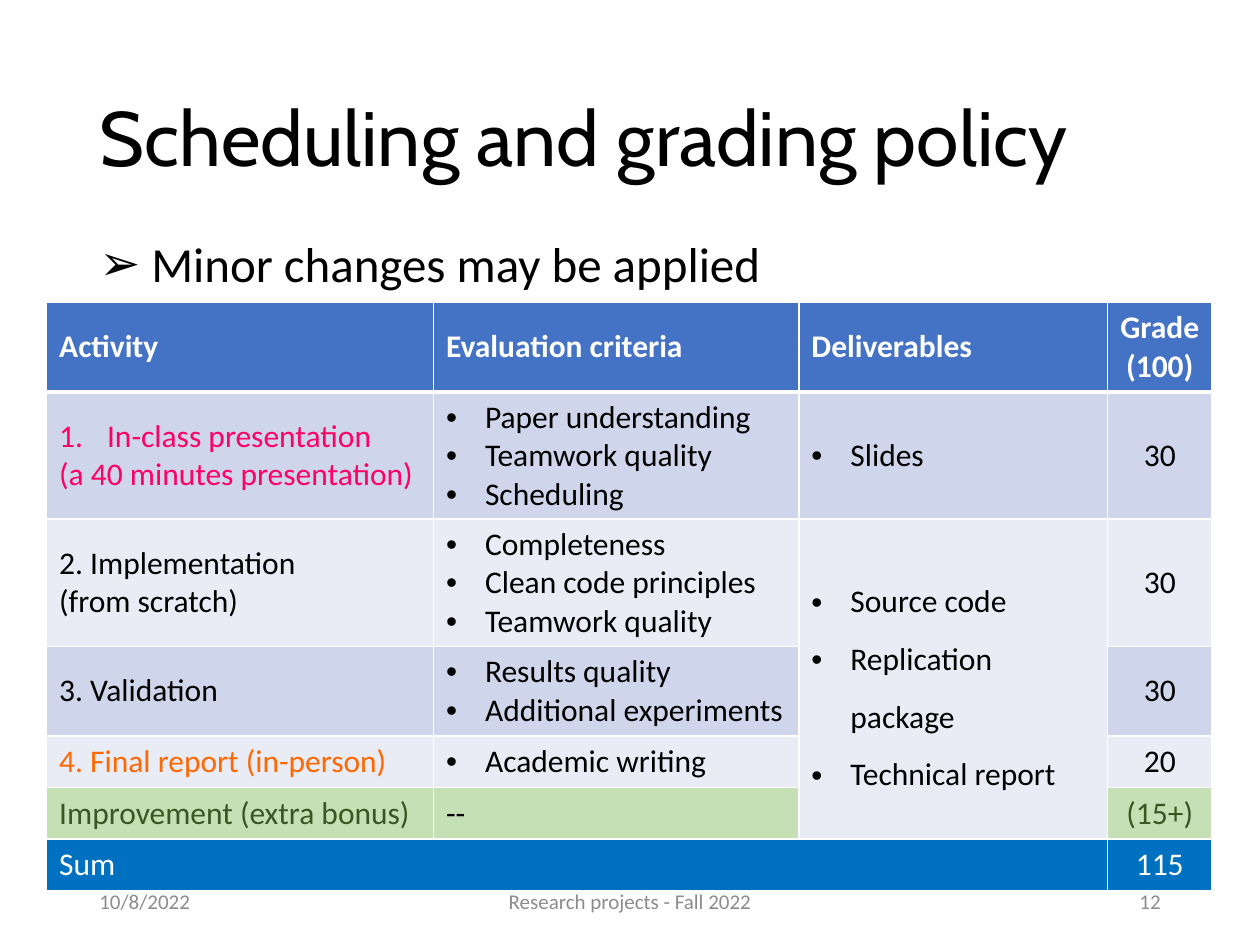
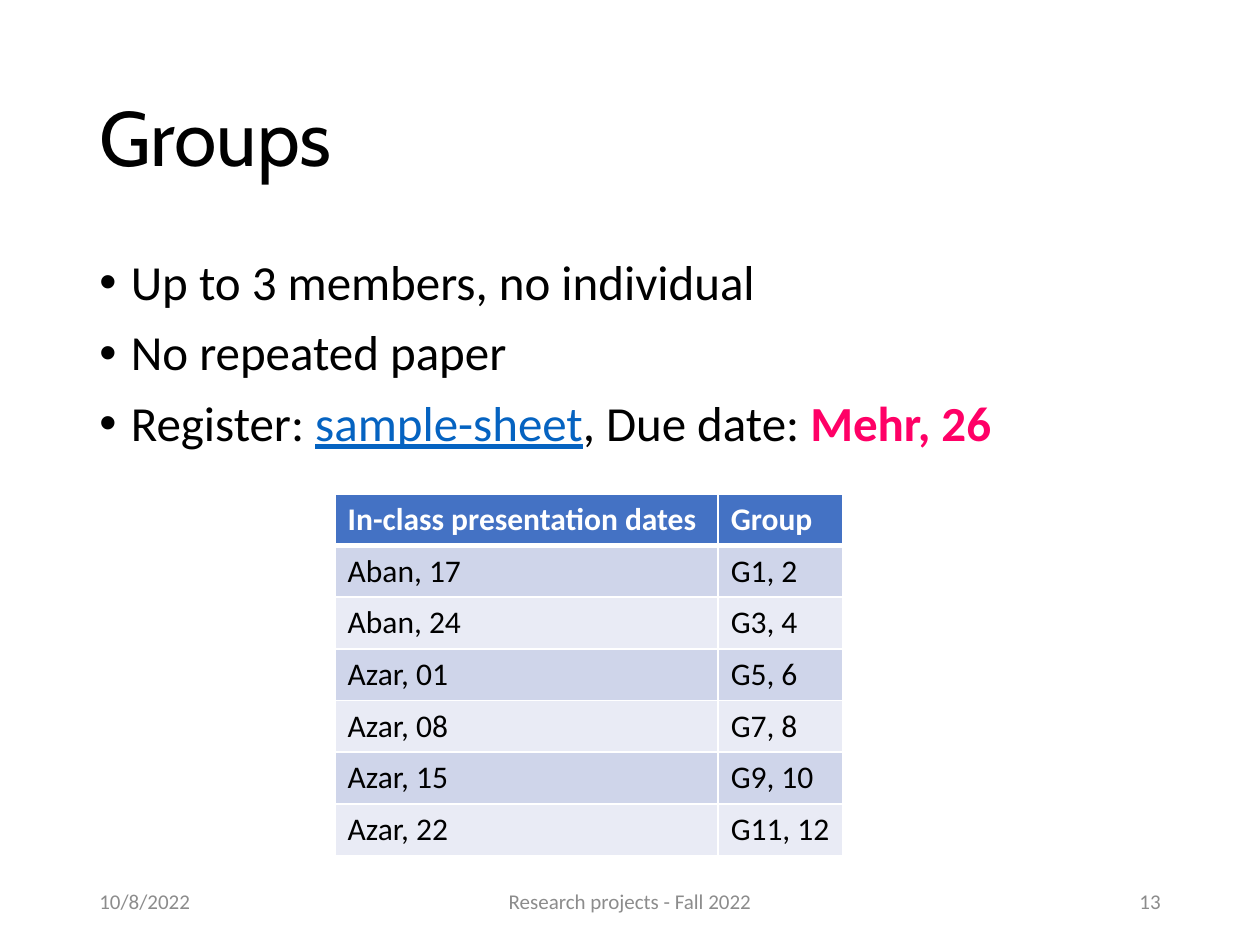
"""Builds the grading policy and groups slides of a research projects course."""
from dataclasses import dataclass, replace
from typing import Optional

from lxml import etree
from pptx import Presentation
from pptx import util as u
from pptx.dml.color import RGBColor
from pptx.enum import text
from pptx.oxml.ns import qn


@dataclass(frozen=True)
class Theme:
    title_font: str = "Cabin"
    body_font: str = "Calibri"
    title_size: int = 44
    body_size: int = 28
    table_size: int = 18
    footer_size: int = 12
    black: str = "000000"
    white: str = "FFFFFF"
    grey: str = "8C8C8C"
    pink: str = "FF0066"
    orange: str = "FF6801"
    link: str = "0563C1"
    header: str = "4472C4"
    bands: tuple[str, str] = ("CFD5EA", "E9EBF5")
    bonus: str = "C5E0B4"
    bonus_text: str = "385723"
    total: str = "0070C0"
    thin: float = 1
    thick: float = 3


THEME = Theme()
ALIGN = text.PP_ALIGN
ANCHOR = text.MSO_ANCHOR
DOT = "•"
NUMBER = "1."
MARGIN, BODY_WIDTH = 0.69, 8.62
FOOTER_TOP, FOOTER_HEIGHT = 6.95, 0.4
LINE_ROW = 0.41


@dataclass(frozen=True)
class Area:
    left: float
    top: float
    width: float
    height: float


@dataclass(frozen=True)
class Span:
    words: str
    color: str = THEME.black
    bold: bool = False
    underline: bool = False


@dataclass(frozen=True)
class Para:
    spans: tuple[Span, ...]
    bullet: str = ""
    indent: float = 0
    align: ALIGN = ALIGN.LEFT
    line: float = 1
    before: float = 0


@dataclass(frozen=True)
class Cell:
    paras: tuple[Para, ...]
    fill: str
    rows: int = 1
    cols: int = 1


Row = list[Optional[Cell]]


def line_of(words: str, color: str = THEME.black, bold: bool = False, **layout) -> Para:
    return Para((Span(words, color, bold),), **layout)


def set_bullet(para, style: Para) -> None:
    props = para._p.get_or_add_pPr()
    indent = u.Inches(style.indent)
    props.set("marL", str(indent))
    props.set("indent", str(-indent))
    if style.bullet == NUMBER:
        etree.SubElement(props, qn("a:buAutoNum"), type="arabicPeriod")
    else:
        etree.SubElement(props, qn("a:buFont"), typeface="Arial")
        etree.SubElement(props, qn("a:buChar"), char=style.bullet)


def write(frame, paras: tuple[Para, ...], size: int, font: str = THEME.body_font) -> None:
    for index, style in enumerate(paras):
        para = frame.add_paragraph() if index else frame.paragraphs[0]
        para.alignment = style.align
        para.line_spacing = style.line
        para.space_before = u.Pt(style.before)
        if style.bullet:
            set_bullet(para, style)
        for part in style.spans:
            span = para.add_run()
            span.text = part.words
            span.font.name = font
            span.font.size = u.Pt(size)
            span.font.bold = part.bold
            span.font.underline = part.underline
            span.font.color.rgb = RGBColor.from_string(part.color)


def add_text(slide, area: Area, paras: tuple[Para, ...], size: int,
             font: str = THEME.body_font, anchor: ANCHOR = ANCHOR.MIDDLE) -> None:
    box = slide.shapes.add_textbox(u.Inches(area.left), u.Inches(area.top),
                                   u.Inches(area.width), u.Inches(area.height))
    box.text_frame.word_wrap = True
    box.text_frame.vertical_anchor = anchor
    write(box.text_frame, paras, size, font)


def add_border(cell, side: str, width: float) -> None:
    props = cell._tc.get_or_add_tcPr()
    border = etree.SubElement(props, qn(f"a:ln{side}"), w=str(u.Pt(width)))
    fill = etree.SubElement(border, qn("a:solidFill"))
    etree.SubElement(fill, qn("a:srgbClr"), val=THEME.white)


def add_table(slide, left: float, top: float, widths: list[float],
              heights: list[float], rows: list[Row]) -> None:
    table = slide.shapes.add_table(len(rows), len(widths), u.Inches(left), u.Inches(top),
                                   u.Inches(sum(widths)), u.Inches(sum(heights))).table
    table.horz_banding = False
    for column, width in zip(table.columns, widths):
        column.width = u.Inches(width)
    for row, height in zip(table.rows, heights):
        row.height = u.Inches(height)
    for r, row in enumerate(rows):
        for c, content in enumerate(row):
            cell = table.cell(r, c)
            for side in "LRTB":
                under_header = (r, side) in ((0, "B"), (1, "T"))
                add_border(cell, side, THEME.thick if under_header else THEME.thin)
            if content is None:
                continue
            cell.fill.solid()
            cell.fill.fore_color.rgb = RGBColor.from_string(content.fill)
            cell.vertical_anchor = ANCHOR.MIDDLE
            write(cell.text_frame, content.paras, THEME.table_size)
            if content.rows * content.cols > 1:
                cell.merge(table.cell(r + content.rows - 1, c + content.cols - 1))


def header_cell(words: str, align: ALIGN = ALIGN.LEFT) -> Cell:
    return Cell((line_of(words, THEME.white, True, align=align),), THEME.header)


def dots(*items: str, line: float = 1) -> tuple[Para, ...]:
    return tuple(line_of(item, bullet=DOT, indent=0.31, line=line) for item in items)


def activity_row(fill: str, activity: tuple[Para, ...], criteria: tuple[Para, ...],
                 deliverables: Optional[Cell], grade: str, color: str = THEME.black) -> Row:
    points = (line_of(grade, color, align=ALIGN.CENTER),)
    return [Cell(activity, fill), Cell(criteria, fill), deliverables, Cell(points, fill)]


def body_point(*spans: Span, bullet: str = DOT) -> Para:
    return Para(spans, bullet, indent=0.25, line=0.9, before=10)


def add_page(deck, title: str, number: int, body_top: float, body: tuple[Para, ...]):
    slide = deck.slides.add_slide(deck.slide_layouts[6])
    add_text(slide, Area(MARGIN, 0.4, BODY_WIDTH, 1.45), (line_of(title, line=0.9),),
             THEME.title_size, THEME.title_font)
    add_text(slide, Area(MARGIN, body_top, BODY_WIDTH, 4.76), body,
             THEME.body_size, anchor=ANCHOR.TOP)
    footers = (
        (MARGIN, 2.25, "10/8/2022", ALIGN.LEFT),
        (3.31, 3.38, "Research projects - Fall 2022", ALIGN.CENTER),
        (7.06, 2.25, str(number), ALIGN.RIGHT),
    )
    for left, width, words, align in footers:
        add_text(slide, Area(left, FOOTER_TOP, width, FOOTER_HEIGHT),
                 (line_of(words, THEME.grey, align=align),), THEME.footer_size)
    return slide


def build_grading(deck) -> None:
    slide = add_page(deck, "Scheduling and grading policy", 12, 1.86,
                     (body_point(Span(" Minor changes may be applied"), bullet="➢"),))
    dark, light = THEME.bands
    shared = Cell(dots("Source code", "Replication package", "Technical report", line=1.5),
                  light, rows=4)
    talk = (line_of("In-class presentation", THEME.pink, bullet=NUMBER, indent=0.38),
            line_of("(a 40 minutes presentation)", THEME.pink))
    rows = [
        [header_cell("Activity"), header_cell("Evaluation criteria"),
         header_cell("Deliverables"), header_cell("Grade (100)", ALIGN.CENTER)],
        activity_row(dark, talk, dots("Paper understanding", "Teamwork quality", "Scheduling"),
                     Cell(dots("Slides"), dark), "30"),
        activity_row(light, (line_of("2. Implementation"), line_of("(from scratch)")),
                     dots("Completeness", "Clean code principles", "Teamwork quality"),
                     shared, "30"),
        activity_row(dark, (line_of("3. Validation"),),
                     dots("Results quality", "Additional experiments"), None, "30"),
        activity_row(light, (line_of("4. Final report (in-person)", THEME.orange),),
                     dots("Academic writing"), None, "20"),
        activity_row(THEME.bonus, (line_of("Improvement (extra bonus)", THEME.bonus_text),),
                     (line_of("--"),), None, "(15+)", THEME.bonus_text),
        [Cell((line_of("Sum", THEME.white),), THEME.total, cols=3), None, None,
         Cell((line_of("115", THEME.white, align=ALIGN.CENTER),), THEME.total)],
    ]
    heights = [0.71, 1.01, 1.01, 0.71] + [LINE_ROW] * 3
    add_table(slide, 0.37, 2.4, [3.07, 2.9, 2.45, 0.83], heights, rows)


def build_groups(deck) -> None:
    register = body_point(Span("Register: "),
                          Span("sample-sheet", THEME.link, underline=True),
                          Span(", Due date: "), Span("Mehr, 26", THEME.pink, bold=True))
    slide = add_page(deck, "Groups", 13, 2,
                     (body_point(Span("Up to 3 members, no individual")),
                      body_point(Span("No repeated paper")), register))
    dates = ["Aban, 17", "Aban, 24", "Azar, 01", "Azar, 08", "Azar, 15", "Azar, 22"]
    rows: list[Row] = [[header_cell("In-class presentation dates"), header_cell("Group")]]
    for index, date in enumerate(dates):
        first = Cell((line_of(date),), THEME.bands[index % 2])
        pair = f"G{2 * index + 1}, {2 * index + 2}"
        rows.append([first, replace(first, paras=(line_of(pair),))])
    add_table(slide, 2.66, 3.92, [3.04, 0.99], [LINE_ROW] * len(rows), rows)


def main() -> None:
    deck = Presentation()
    deck.slide_width, deck.slide_height = u.Inches(10), u.Inches(7.5)
    build_grading(deck)
    build_groups(deck)
    deck.save("out.pptx")


main()
